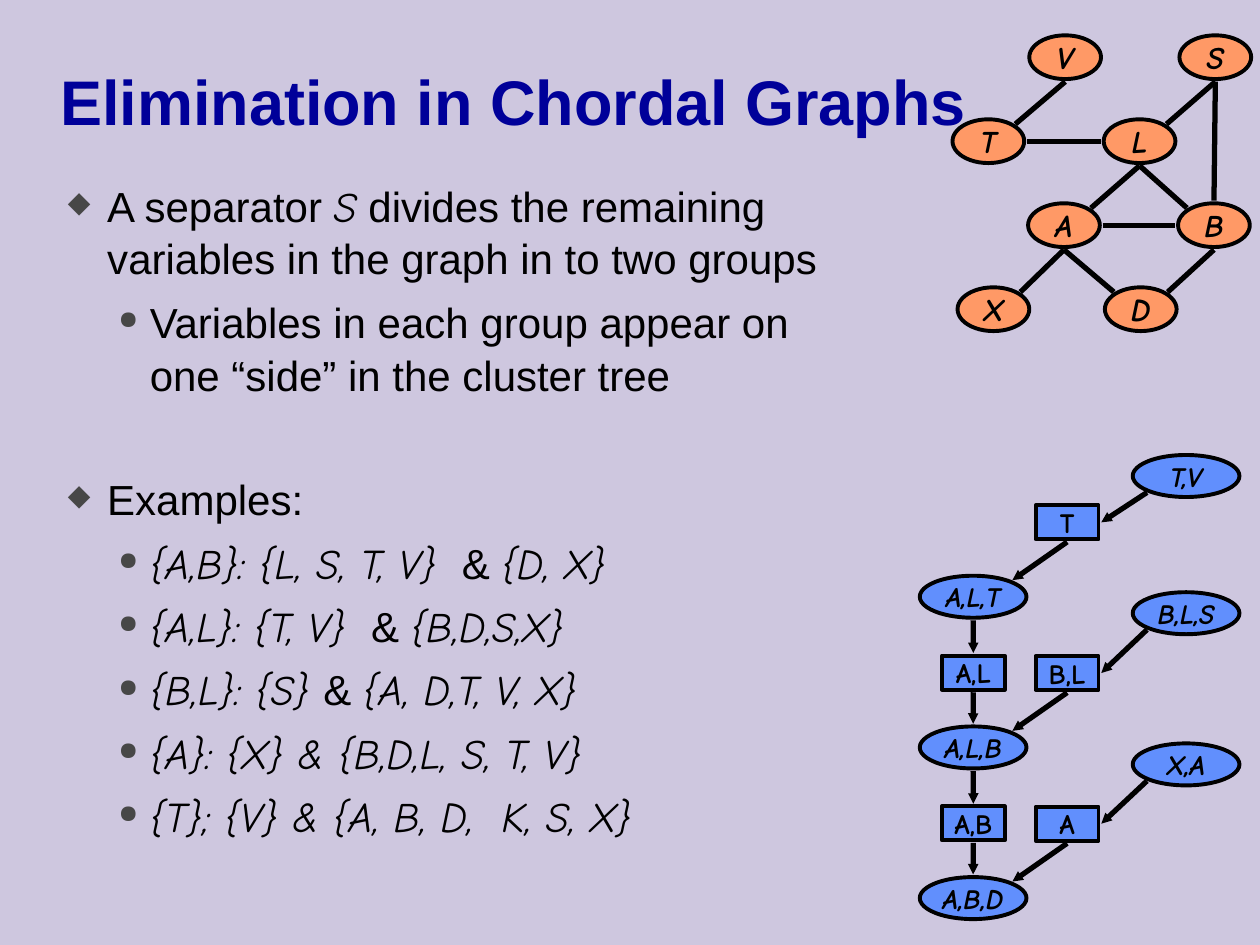
from dataclasses import dataclass

from lxml import etree
from pptx import Presentation
from pptx import util as u
from pptx.dml.color import RGBColor
from pptx.enum import shapes, text
from pptx.oxml import ns

Pt = u.Pt
BACKGROUND = RGBColor(0xCE, 0xC7, 0xDF)
NAVY = RGBColor(0x00, 0x00, 0x99)
BLACK = RGBColor(0x00, 0x00, 0x00)
ORANGE = RGBColor(0xFF, 0x99, 0x66)
BLUE = RGBColor(0x61, 0x8F, 0xFD)
BULLET_GRAY = RGBColor(0x47, 0x47, 0x47)
SANS, COMIC = "Arial", "Comic Neue"

GAP = 1.5  # clearance between a node outline and an edge end
CORNER = 0.7  # diagonal point of an ellipse, as a share of its half size
ROW_STEP = 48  # between rows of the chordal graph
CLUSTER_STEP = 86.1  # between levels of the cluster tree


@dataclass(frozen=True)
class NodeStyle:
    shape: shapes.MSO_SHAPE
    width: float
    height: float
    fill: RGBColor
    size: float
    italic: bool


@dataclass(frozen=True)
class Node:
    label: str
    left: float
    top: float
    style: NodeStyle

    def anchor(self, dx: float, dy: float) -> tuple[float, float]:
        """Point offset from the centre by shares of the half width and height."""
        half_w, half_h = self.style.width / 2, self.style.height / 2
        return (self.left + half_w + dx * (half_w + GAP),
                self.top + half_h + dy * (half_h + GAP))


@dataclass(frozen=True)
class Level:
    bullet: str
    percent: int
    margin: float
    indent: float


@dataclass(frozen=True)
class Line:
    level: int
    runs: tuple[tuple[str, str], ...]  # (font, text)
    before: float = 6


VARIABLE = NodeStyle(shapes.MSO_SHAPE.OVAL, 41, 25, ORANGE, 18, True)
CLUSTER = NodeStyle(shapes.MSO_SHAPE.OVAL, 61, 24, BLUE, 16, True)
SEPARATOR = NodeStyle(shapes.MSO_SHAPE.RECTANGLE, 36, 19.4, BLUE, 16, False)

# label: (left, row)
VARIABLES = {
    "V": (588.2, 0), "S": (674, 0), "T": (544.3, 1), "L": (630.7, 1),
    "A": (587.5, 2), "B": (673.2, 2), "X": (547.2, 3), "D": (631.4, 3),
}
EDGES = ("VT", "SL", "SB", "TL", "LA", "LB", "AB", "AX", "AD", "BD")

CHAIN = ("A,L,T", "A,L,B", "A,B,D")
CHAIN_SEPARATORS = ("A,L", "A,B")
# side cluster, its top, and the separator that links it to the chain
SIDE_BRANCHES = (("T,V", 260, "T"), ("B,L,S", 338.4, "B,L"), ("X,A", 424.8, "A"))

LEVELS = (Level("◆", 70, 22.5, -22.5), Level("●", 60, 46.8, -18))
BODY = (
    Line(0, ((SANS, "A separator "), (COMIC, "S"),
             (SANS, " divides the remaining\nvariables in the graph in to two groups")), 0),
    Line(1, ((SANS, "Variables in each group appear on\none “side” in the cluster tree"),)),
    Line(0, ((SANS, "Examples:"),), 41),
    Line(1, ((COMIC, "{A,B}: {L, S, T, V} "), (SANS, " & "), (COMIC, "{D, X}"))),
    Line(1, ((COMIC, "{A,L}: {T, V} "), (SANS, " & "), (COMIC, "{B,D,S,X}"))),
    Line(1, ((COMIC, "{B,L}: {S} "), (SANS, "& "), (COMIC, "{A, D,T, V, X}"))),
    Line(1, ((COMIC, "{A}: {X} & {B,D,L, S, T, V}"),)),
    Line(1, ((COMIC, "{T}; {V} & {A, B, D,  K, S, X}"),)),
)


def format_font(font, name: str, size: float, color: RGBColor,
                bold: bool = False, italic: bool = False) -> None:
    font.name, font.size = name, Pt(size)
    font.bold, font.italic = bold, italic
    font.color.rgb = color


def draw_node(container, node: Node) -> None:
    style = node.style
    sp = container.add_shape(style.shape, Pt(node.left), Pt(node.top),
                             Pt(style.width), Pt(style.height))
    sp.shadow.inherit = False
    sp.fill.solid()
    sp.fill.fore_color.rgb = style.fill
    sp.line.color.rgb = BLACK
    sp.line.width = Pt(2.25)
    tf = sp.text_frame
    tf.text = node.label
    tf.word_wrap = False
    tf.vertical_anchor = text.MSO_ANCHOR.MIDDLE
    p = tf.paragraphs[0]
    p.alignment = text.PP_ALIGN.CENTER
    format_font(p.runs[0].font, COMIC, style.size, BLACK, True, style.italic)


def draw_edge(container, start: tuple[float, float], end: tuple[float, float],
              arrow: bool = False) -> None:
    line = container.add_connector(shapes.MSO_CONNECTOR.STRAIGHT,
                                   *(Pt(v) for v in (*start, *end)))
    line.line.color.rgb = BLACK
    line.line.width = Pt(3)
    if arrow:
        etree.SubElement(line.line._get_or_add_ln(), ns.qn("a:tailEnd"),
                         type="triangle", w="sm", len="sm")
    etree.SubElement(line._element.spPr, ns.qn("a:effectLst"))


def draw_chordal_graph(container) -> None:
    nodes = {label: Node(label, left, 20.2 + row * ROW_STEP, VARIABLE)
             for label, (left, row) in VARIABLES.items()}
    for node in nodes.values():
        draw_node(container, node)
    for a, b in EDGES:
        upper, lower = nodes[a], nodes[b]
        shift = upper.left - lower.left
        if upper.top == lower.top:
            draw_edge(container, upper.anchor(1, 0), lower.anchor(-1, 0))
        elif abs(shift) < 2:
            draw_edge(container, upper.anchor(0, 1), lower.anchor(0, -1))
        else:
            side = CORNER if shift > 0 else -CORNER
            draw_edge(container, upper.anchor(0, 1), lower.anchor(side, -CORNER))


def draw_cluster_tree(container) -> None:
    chain = [Node(label, 525.6, 329 + i * CLUSTER_STEP, CLUSTER)
             for i, label in enumerate(CHAIN)]
    links = [Node(label, 538.2, 374.7 + i * CLUSTER_STEP, SEPARATOR)
             for i, label in enumerate(CHAIN_SEPARATORS)]
    for node in chain + links:
        draw_node(container, node)
    for upper, link, lower in zip(chain, links, chain[1:]):
        draw_edge(container, upper.anchor(0, 1), link.anchor(0, -1), True)
        draw_edge(container, link.anchor(0, 1), lower.anchor(0, -1), True)
    for i, (label, top, link_label) in enumerate(SIDE_BRANCHES):
        side = Node(label, 647.3, top, CLUSTER)
        link = Node(link_label, 591.8, 288.8 + i * CLUSTER_STEP, SEPARATOR)
        draw_node(container, side)
        draw_node(container, link)
        draw_edge(container, side.anchor(-CORNER, CORNER), link.anchor(1, 0), True)
        draw_edge(container, link.anchor(0, 1), chain[i].anchor(CORNER, -CORNER), True)


def add_bullet(p, level: Level) -> None:
    pPr = p._p.get_or_add_pPr()
    pPr.set("marL", str(Pt(level.margin)))
    pPr.set("indent", str(Pt(level.indent)))
    color = etree.SubElement(pPr, ns.qn("a:buClr"))
    etree.SubElement(color, ns.qn("a:srgbClr"), val=str(BULLET_GRAY))
    etree.SubElement(pPr, ns.qn("a:buSzPct"), val=str(level.percent * 1000))
    etree.SubElement(pPr, ns.qn("a:buChar"), char=level.bullet)


def write_line(p, line: Line) -> None:
    p.level = line.level
    p.line_spacing = 1.05
    p.space_before = Pt(line.before)
    add_bullet(p, LEVELS[line.level])
    for font, content in line.runs:
        for i, part in enumerate(content.split("\n")):
            if i:
                p.add_line_break()
            r = p.add_run()
            r.text = part
            format_font(r.font, font, 24, BLACK, italic=font == COMIC)


def add_text_frame(s, left: float, top: float, width: float, height: float):
    tf = s.shapes.add_textbox(Pt(left), Pt(top), Pt(width), Pt(height)).text_frame
    tf.word_wrap = True
    return tf


def main() -> None:
    prs = Presentation()
    prs.slide_width, prs.slide_height = Pt(720), Pt(540)
    s = prs.slides.add_slide(prs.slide_layouts[6])
    s.background.fill.solid()
    s.background.fill.fore_color.rgb = BACKGROUND

    title = add_text_frame(s, 27.4, 12.2, 662.4, 90)
    title.text = "Elimination in Chordal Graphs"
    title.vertical_anchor = text.MSO_ANCHOR.MIDDLE
    format_font(title.paragraphs[0].runs[0].font, SANS, 36, NAVY, True)

    body = add_text_frame(s, 31.7, 97.9, 658, 392.4)
    for i, line in enumerate(BODY):
        write_line(body.add_paragraph() if i else body.paragraphs[0], line)

    draw_chordal_graph(s.shapes.add_group_shape().shapes)
    draw_cluster_tree(s.shapes.add_group_shape().shapes)
    prs.save("out.pptx")


if __name__ == "__main__":
    main()
